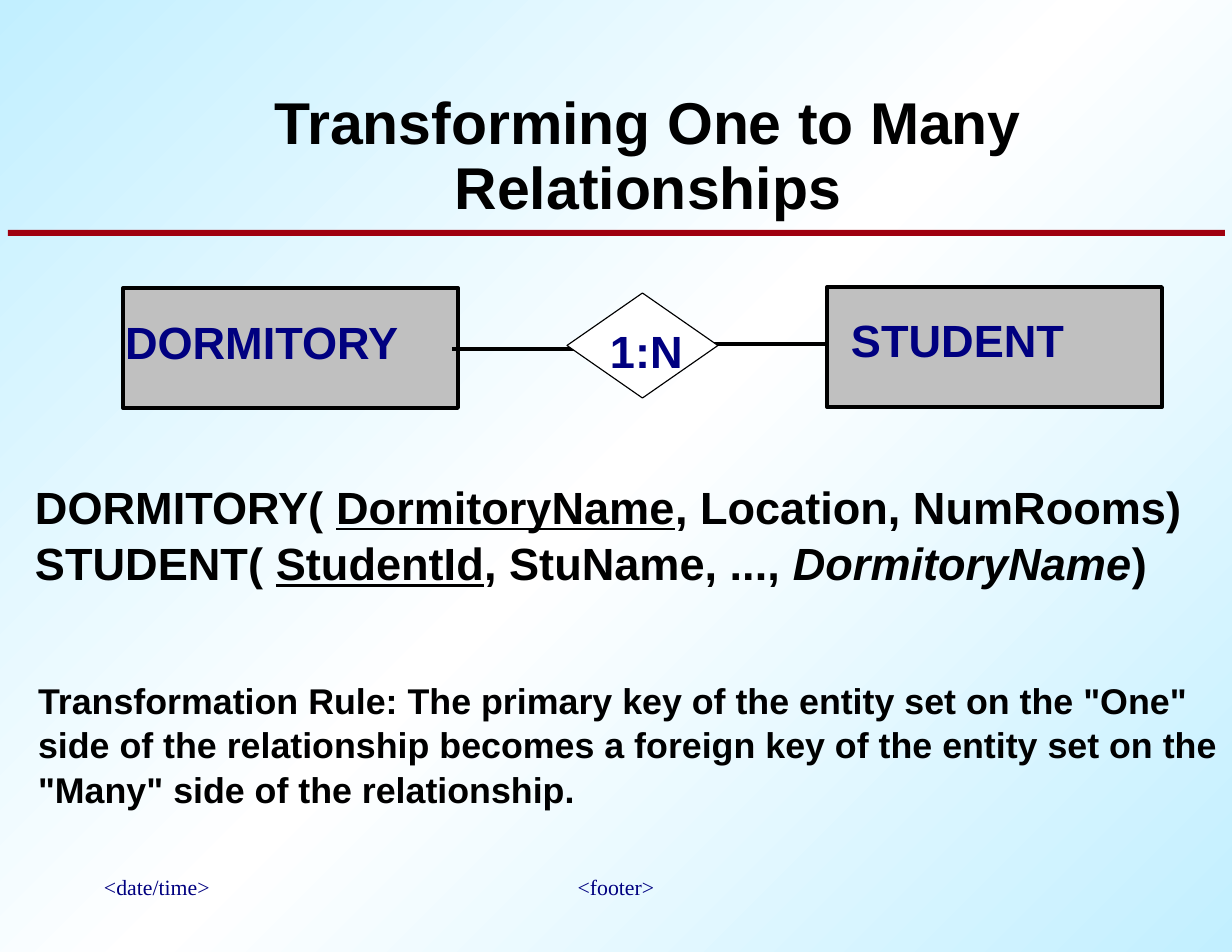
from copy import deepcopy

from pptx import Presentation
from pptx.dml.color import RGBColor
from pptx.enum.shapes import MSO_CONNECTOR, MSO_SHAPE
from pptx.enum.text import MSO_ANCHOR, MSO_AUTO_SIZE, PP_ALIGN
from pptx.oxml.ns import qn
from pptx.util import Emu, Pt

PX = 914400 / 112
BLACK = RGBColor(0x00, 0x00, 0x00)
WHITE = RGBColor(0xFF, 0xFF, 0xFF)
NAVY = RGBColor(0x00, 0x00, 0x80)
GRAY = RGBColor(0xC0, 0xC0, 0xC0)
CRIMSON = RGBColor(0x9F, 0x00, 0x0F)
SKY = RGBColor(0xC2, 0xEF, 0xFF)
BAR = MSO_SHAPE.ROUNDED_RECTANGLE
DIAMOND = MSO_SHAPE.DIAMOND
STRAIGHT = MSO_CONNECTOR.STRAIGHT
LEFT, CENTER = PP_ALIGN.LEFT, PP_ALIGN.CENTER
TOP, BOTTOM = MSO_ANCHOR.TOP, MSO_ANCHOR.BOTTOM
NO_FIT = MSO_AUTO_SIZE.NONE


def px(*lengths):
    return [Emu(round(length * PX)) for length in lengths]


class RelationshipSlide:
    """Draws the parts of an entity-relationship slide in one style."""

    heading_font = "Arial"
    footer_font = "Times New Roman"
    edge = 2.5

    def __init__(self, deck):
        self.slide = deck.slides.add_slide(deck.slide_layouts[5])

    def background(self, outer, middle):
        fill = self.slide.background.fill
        fill.gradient()
        fill.gradient_angle = 315
        stops = self.slide.element.find(".//" + qn("a:gsLst"))
        stops.insert(1, deepcopy(stops[0]))
        for stop, color, position in zip(fill.gradient_stops, (outer, middle, outer), (0, 0.5, 1)):
            stop.color.rgb = color
            stop.position = position

    def fill_text(self, frame, lines, size, color, font, bold=True, align=LEFT,
                  spacing=1.04, inset=(0, 0), anchor=TOP):
        frame.word_wrap = True
        frame.auto_size = NO_FIT
        frame.vertical_anchor = anchor
        frame.margin_left, frame.margin_top = px(*inset)
        frame.margin_right, frame.margin_bottom = px(*inset)
        for number, line in enumerate(lines):
            paragraph = frame.add_paragraph() if number else frame.paragraphs[0]
            paragraph.alignment = align
            paragraph.line_spacing = spacing
            paragraph.space_before = Pt(0)
            for text, style in line:
                run = paragraph.add_run()
                run.text = text
                run.font.name = font
                run.font.size = Pt(size)
                run.font.bold = bold
                run.font.color.rgb = color
                run.font.underline = style == "key"
                run.font.italic = style == "foreign key"

    def title(self, text, *place):
        title = self.slide.shapes.title
        title.left, title.top, title.width, title.height = px(*place)
        self.fill_text(title.text_frame, [[(text, "")]], 37.9, BLACK, self.heading_font,
                       align=CENTER, spacing=0.92, anchor=BOTTOM)

    def text(self, lines, size, color, *place):
        box = self.slide.shapes.add_textbox(*px(*place))
        self.fill_text(box.text_frame, lines, size, color, self.heading_font)

    def footer(self, text, align, *place):
        box = self.slide.shapes.add_textbox(*px(*place))
        self.fill_text(box.text_frame, [[(text, "")]], 14, NAVY, self.footer_font,
                       bold=False, align=align, spacing=1, inset=(11, 6))

    def shape(self, kind, fill, line_width, *place):
        shape = self.slide.shapes.add_shape(kind, *px(*place))
        shape.shadow.inherit = False
        shape.fill.solid()
        shape.fill.fore_color.rgb = fill
        if kind == BAR:
            shape.adjustments[0] = 0
        if line_width:
            shape.line.color.rgb = BLACK
            shape.line.width = Pt(line_width)
        else:
            shape.line.fill.background()

    def link(self, start, end, y):
        link = self.slide.shapes.add_connector(STRAIGHT, *px(start, y, end, y))
        link.line.color.rgb = BLACK
        link.line.width = Pt(self.edge)
        properties = link._element.spPr
        properties.append(properties.makeelement(qn("a:effectLst"), {}))


def main():
    deck = Presentation()
    deck.slide_width, deck.slide_height = px(1232, 952)
    page = RelationshipSlide(deck)
    page.background(SKY, WHITE)

    page.footer("<footer>", CENTER, 420, 868, 392, 65)
    page.footer("<date/time>", LEFT, 93, 868, 252, 65)
    page.shape(BAR, CRIMSON, 0, 8, 230, 1217, 6)
    page.title("Transforming One to Many Relationships", 88, 72, 1120, 151)

    for left, top in ((123, 288), (827, 287)):
        page.shape(BAR, GRAY, page.edge, left, top, 335, 120)
    page.link(585, 452, 349)
    page.link(703, 825, 344)
    page.shape(DIAMOND, WHITE, 0.75, 567, 293, 151, 105)

    for label, place in (("1:N", (610, 321, 112, 66)),
                         ("DORMITORY", (125, 312, 344, 72)),
                         ("STUDENT", (851, 310, 261, 58))):
        page.text([[(label, "")]], 29, NAVY, *place)

    page.text([
        [("DORMITORY( ", ""), ("DormitoryName", "key"), (", Location, NumRooms)", "")],
        [("STUDENT( ", ""), ("StudentId", "key"), (", StuName, ..., ", ""),
         ("DormitoryName", "foreign key"), (")", "")],
    ], 29, BLACK, 35, 477, 1229, 186)
    rule = ('Transformation Rule: The primary key of the entity set on the "One" side of the '
            'relationship becomes a foreign key of the entity set on the "Many" side of the '
            'relationship.')
    page.text([[(rule, "")]], 23, BLACK, 38, 677, 1222, 241)

    deck.save("out.pptx")


if __name__ == "__main__":
    main()
